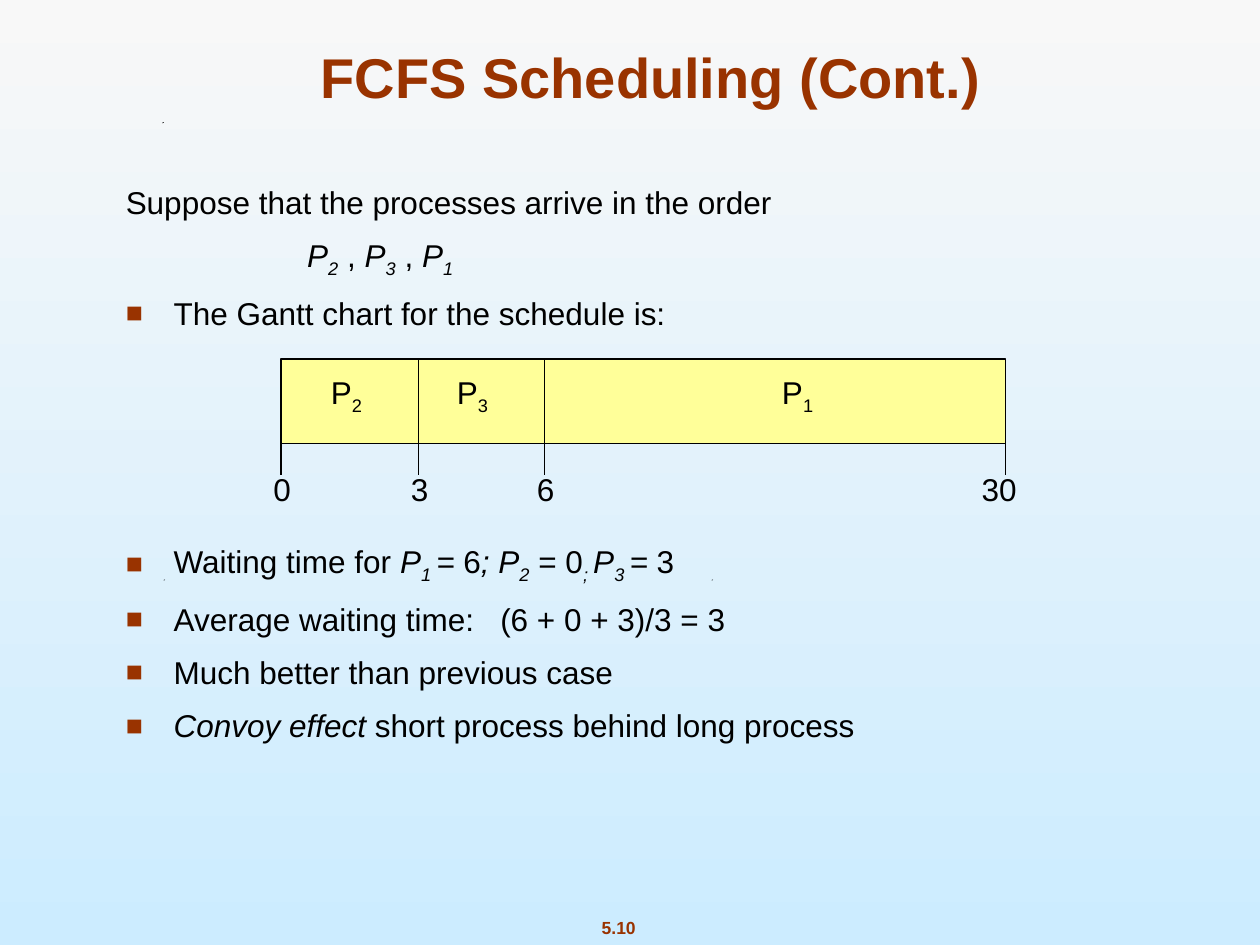
from lxml.etree import SubElement
from pptx import Presentation
from pptx.dml.color import RGBColor
from pptx.enum.shapes import MSO_CONNECTOR, MSO_SHAPE
from pptx.enum.text import MSO_ANCHOR, MSO_AUTO_SIZE, PP_ALIGN
from pptx.oxml.ns import qn
from pptx.util import Inches, Pt

COLORS = {
    "accent": "993300",
    "text": "000000",
    "bar": "FFFF99",
    "sky_top": "F8F8F8",
    "sky_bottom": "CCECFF",
}
RGB = {name: RGBColor.from_string(value) for name, value in COLORS.items()}


def add_runs(paragraph, runs, size=18, color="text", bold=False):
    """Add (text, style) runs; in a style, i is italic and s is subscript."""
    for text, style in runs:
        run = paragraph.add_run()
        run.text = text
        look = {"name": "Arial", "size": Pt(size), "bold": bold, "italic": "i" in style}
        for key, value in look.items():
            setattr(run.font, key, value)
        run.font.color.rgb = RGB[color]
        if "s" in style:
            run._r.get_or_add_rPr().set("baseline", "-25000")


def add_label(center, top, width, height, runs, **look):
    """Add a centred, unwrapped one-line label around a horizontal centre."""
    label = slide.shapes.add_textbox(
        Inches(center - width / 2), Inches(top), Inches(width), Inches(height))
    frame = label.text_frame
    frame.word_wrap = False
    frame.auto_size = MSO_AUTO_SIZE.SHAPE_TO_FIT_TEXT
    frame.vertical_anchor = MSO_ANCHOR.MIDDLE
    frame.paragraphs[0].alignment = PP_ALIGN.CENTER
    add_runs(frame.paragraphs[0], runs, **look)


prs = Presentation()
prs.slide_width, prs.slide_height = Inches(10), Inches(7.5)
slide = prs.slides.add_slide(prs.slide_layouts[5])

# Background
sky = slide.background.fill
sky.gradient()
sky.gradient_angle = 270
for stop, name in zip(sky.gradient_stops, ("sky_top", "sky_bottom")):
    stop.color.rgb = RGB[name]

# Page number and background specks
add_label(4.91, 7.23, 0.98, 0.27, [("5.10", "")], size=10, color="accent", bold=True)
for x, y in [(1.76, 5.42), (1.3, 4.6), (5.65, 4.6), (1.29, 0.97)]:
    outline = slide.shapes.build_freeform(Inches(x), Inches(y + 0.01))
    outline.add_line_segments([(Inches(x + 0.01), Inches(y)), (Inches(x), Inches(y))])
    speck = outline.convert_to_shape()
    speck.shadow.inherit = False
    speck.fill.solid()
    speck.fill.fore_color.rgb = RGB["text"]
    speck.line.fill.background()

# Title
title = slide.shapes.title
title.left, title.top, title.width, title.height = map(Inches, (0.75, 0.25, 8.83, 0.67))
title.text_frame.vertical_anchor = MSO_ANCHOR.BOTTOM
heading = title.text_frame.paragraphs[0]
heading.alignment = PP_ALIGN.CENTER
add_runs(heading, [("FCFS Scheduling (Cont.)", "")], size=32, color="accent", bold=True)

# Body: space before in points, left margin, first-line indent, bullet, runs
GAP, CHART_GAP = 8.8, 119.9
body_lines = [
    (GAP, 0.38, -0.38, False, [("Suppose that the processes arrive in the order", "")]),
    (GAP, 1.44, 0, False, [
        ("P", "i"), ("2", "is"), (" , ", ""), ("P", "i"), ("3", "is"),
        (" , ", ""), ("P", "i"), ("1", "is")]),
    (GAP, 0.38, -0.38, True, [("The Gantt chart for the schedule is:", "")]),
    (CHART_GAP, 0.38, -0.38, True, [
        ("Waiting time for ", ""), ("P", "i"), ("1 ", "is"), ("=", "i"), (" 6", ""),
        ("; P", "i"), ("2", "is"), (" = 0", ""), ("; ", "is"), ("P", "i"),
        ("3 ", "is"), ("= ", "i"), ("3", "")]),
    (GAP, 0.38, -0.38, True, [("Average waiting time:   (6 + 0 + 3)/3 = 3", "")]),
    (GAP, 0.38, -0.38, True, [("Much better than previous case", "")]),
    (GAP, 0.38, -0.38, True, [
        ("Convoy effect", "i"), (" short process behind long process", "")]),
]
body = slide.shapes.add_textbox(Inches(0.9), Inches(1.4), Inches(8.04), Inches(4.9)).text_frame
body.word_wrap = True
for index, (gap, margin, indent, bulleted, runs) in enumerate(body_lines):
    paragraph = body.add_paragraph() if index else body.paragraphs[0]
    paragraph.space_before = Pt(gap)
    properties = paragraph._p.get_or_add_pPr()
    properties.set("marL", str(Inches(margin)))
    properties.set("indent", str(Inches(indent)))
    if bulleted:
        bullet_color = SubElement(properties, qn("a:buClr"))
        SubElement(bullet_color, qn("a:srgbClr"), val=COLORS["accent"])
        SubElement(properties, qn("a:buSzPct"), val="90000")
        SubElement(properties, qn("a:buFont"), typeface="Arial")
        SubElement(properties, qn("a:buChar"), char="■")
    add_runs(paragraph, runs)

# Gantt chart
BAR_LEFT, BAR_RIGHT, BAR_TOP, BAR_BOTTOM, TICK_END = 2.23, 7.98, 2.85, 3.52, 3.77
bar = slide.shapes.add_shape(
    MSO_SHAPE.RECTANGLE, Inches(BAR_LEFT), Inches(BAR_TOP),
    Inches(BAR_RIGHT - BAR_LEFT), Inches(BAR_BOTTOM - BAR_TOP))
bar.shadow.inherit = False
bar.fill.solid()
bar.fill.fore_color.rgb = RGB["bar"]
bar.line.color.rgb = RGB["text"]
bar.line.width = Pt(0.75)

for process, center in [("2", 2.75), ("3", 3.75), ("1", 6.33)]:
    add_label(center, 2.91, 0.45, 0.44, [("P", ""), (process, "s")])

ticks = [(x, BAR_BOTTOM, TICK_END) for x in (BAR_LEFT, 3.32, 4.32, BAR_RIGHT)]
dividers = [(x, BAR_TOP, BAR_BOTTOM) for x in (3.32, 4.32)]
for x, top, bottom in dividers + ticks:
    mark = slide.shapes.add_connector(
        MSO_CONNECTOR.STRAIGHT, Inches(x), Inches(top), Inches(x), Inches(bottom))
    mark.line.color.rgb = RGB["text"]
    mark.line.width = Pt(0.75)
    SubElement(mark._element.spPr, qn("a:effectLst"))

for time, center, width in [("0", 2.24, 0.34), ("3", 3.33, 0.34),
                            ("6", 4.33, 0.34), ("30", 7.93, 0.48)]:
    add_label(center, 3.68, width, 0.4, [(time, "")])

prs.save("out.pptx")
